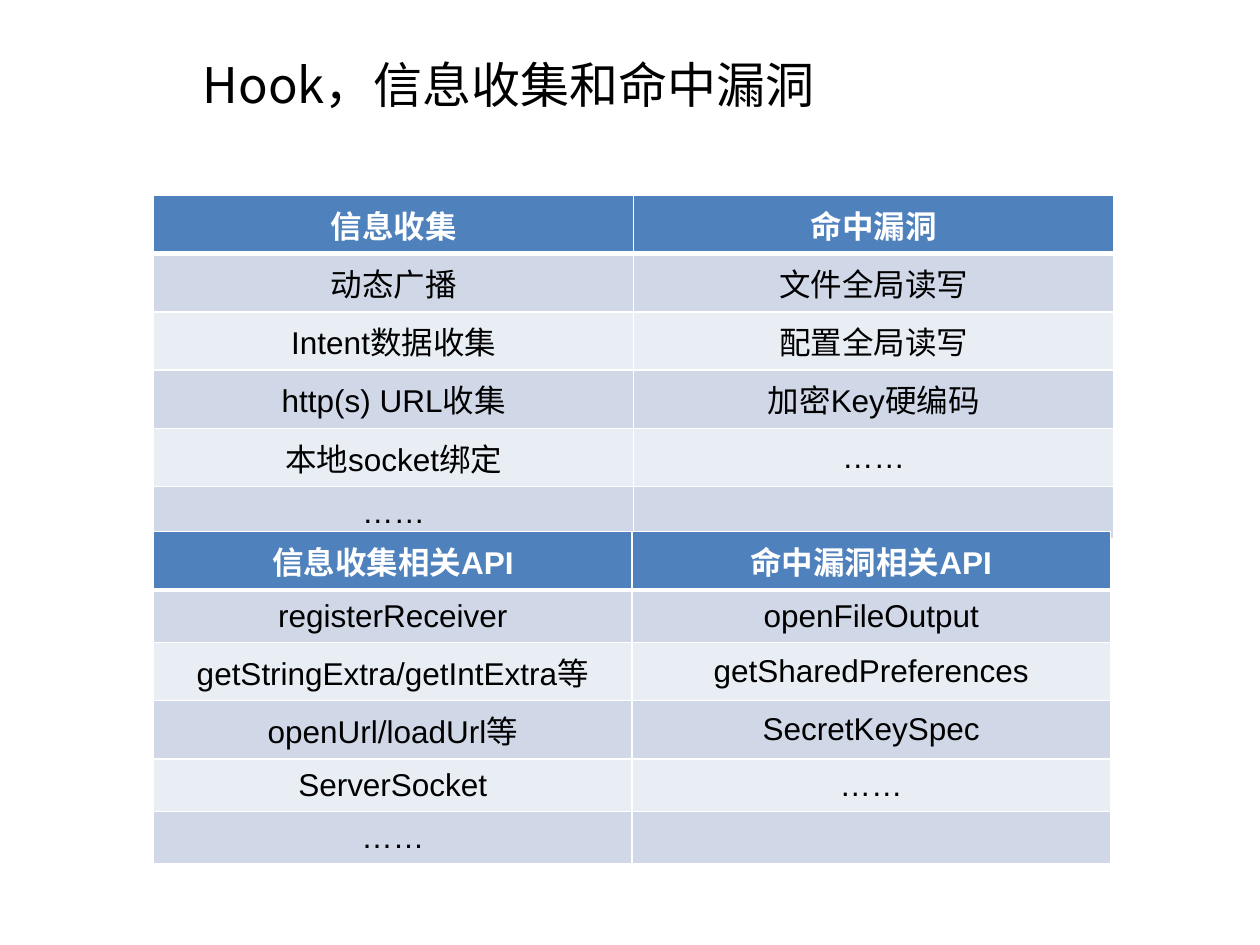
from lxml import etree
from pptx import Presentation
from pptx.dml.color import RGBColor
from pptx.enum import text
from pptx.oxml import ns
from pptx.util import Pt

TITLE = "Hook，信息收集和命中漏洞"
FINDINGS = [
    ("信息收集", "命中漏洞"),
    ("动态广播", "文件全局读写"),
    ("Intent数据收集", "配置全局读写"),
    ("http(s) URL收集", "加密Key硬编码"),
    ("本地socket绑定", "……"),
    ("……", ""),
]
APIS = [
    ("信息收集相关API", "命中漏洞相关API"),
    ("registerReceiver", "openFileOutput"),
    ("getStringExtra/getIntExtra等", "getSharedPreferences"),
    ("openUrl/loadUrl等", "SecretKeySpec"),
    ("ServerSocket", "……"),
    ("……", ""),
]
# rows, top, column width
TABLES = [(FINDINGS, 111.6, 274.3), (APIS, 303.8, 273.4)]
TABLE_LEFT = 87.8
ROW_HEIGHT = 30

LATIN_FONT = "Arial"
CHINESE_FONT = "Noto Sans CJK SC"
BLACK = RGBColor(0x00, 0x00, 0x00)
WHITE = RGBColor(0xFF, 0xFF, 0xFF)
HEADER_BLUE = RGBColor(0x4F, 0x81, 0xBD)
BANDS = [RGBColor(0xE9, 0xED, 0xF4), RGBColor(0xD0, 0xD8, 0xE8)]


def format_paragraph(paragraph, size, latin_font, color, bold, alignment):
    paragraph.alignment = alignment
    for run in paragraph.runs:
        font = run.font
        font.size, font.name, font.bold = Pt(size), latin_font, bold
        font.color.rgb = color
        east_asian = etree.SubElement(run._r.get_or_add_rPr(), ns.qn("a:ea"))
        east_asian.set("typeface", CHINESE_FONT)


def set_borders(cell, widths):
    """Draw white borders; widths maps each side, in L, R, T, B order, to points."""
    properties = cell._tc.get_or_add_tcPr()
    for side, width in widths.items():
        line = etree.SubElement(properties, ns.qn(f"a:ln{side}"), w=str(Pt(width)))
        fill = etree.SubElement(line, ns.qn("a:solidFill"))
        etree.SubElement(fill, ns.qn("a:srgbClr"), val=str(WHITE))


def add_banded_table(slide, rows, top, column_width):
    columns = len(rows[0])
    table = slide.shapes.add_table(
        len(rows), columns, Pt(TABLE_LEFT), Pt(top),
        Pt(column_width * columns), Pt(ROW_HEIGHT * len(rows))).table
    for column in table.columns:
        column.width = Pt(column_width)
    for row_index, row in enumerate(rows):
        table.rows[row_index].height = Pt(ROW_HEIGHT)
        is_header = row_index == 0
        borders = {"L": 1, "R": 1, "T": 3 if row_index == 1 else 1,
                   "B": 3 if is_header else 1}
        for column_index, wording in enumerate(row):
            cell = table.cell(row_index, column_index)
            cell.text_frame.text = wording
            cell.vertical_anchor = text.MSO_ANCHOR.MIDDLE
            format_paragraph(cell.text_frame.paragraphs[0], 18, LATIN_FONT,
                             WHITE if is_header else BLACK, is_header,
                             text.PP_ALIGN.CENTER)
            set_borders(cell, borders)
            cell.fill.solid()
            cell.fill.fore_color.rgb = HEADER_BLUE if is_header else BANDS[row_index % 2]


def main():
    presentation = Presentation()
    presentation.slide_width, presentation.slide_height = Pt(720), Pt(540)
    slide = presentation.slides.add_slide(presentation.slide_layouts[5])

    title = slide.shapes.title
    title.left, title.top, title.width, title.height = Pt(108.7), Pt(26), Pt(648), Pt(44)
    title.text_frame.text = TITLE
    title.text_frame.vertical_anchor = text.MSO_ANCHOR.MIDDLE
    format_paragraph(title.text_frame.paragraphs[0], 28, CHINESE_FONT, BLACK,
                     False, text.PP_ALIGN.LEFT)

    for rows, top, column_width in TABLES:
        add_banded_table(slide, rows, top, column_width)
    presentation.save("out.pptx")


if __name__ == "__main__":
    main()
